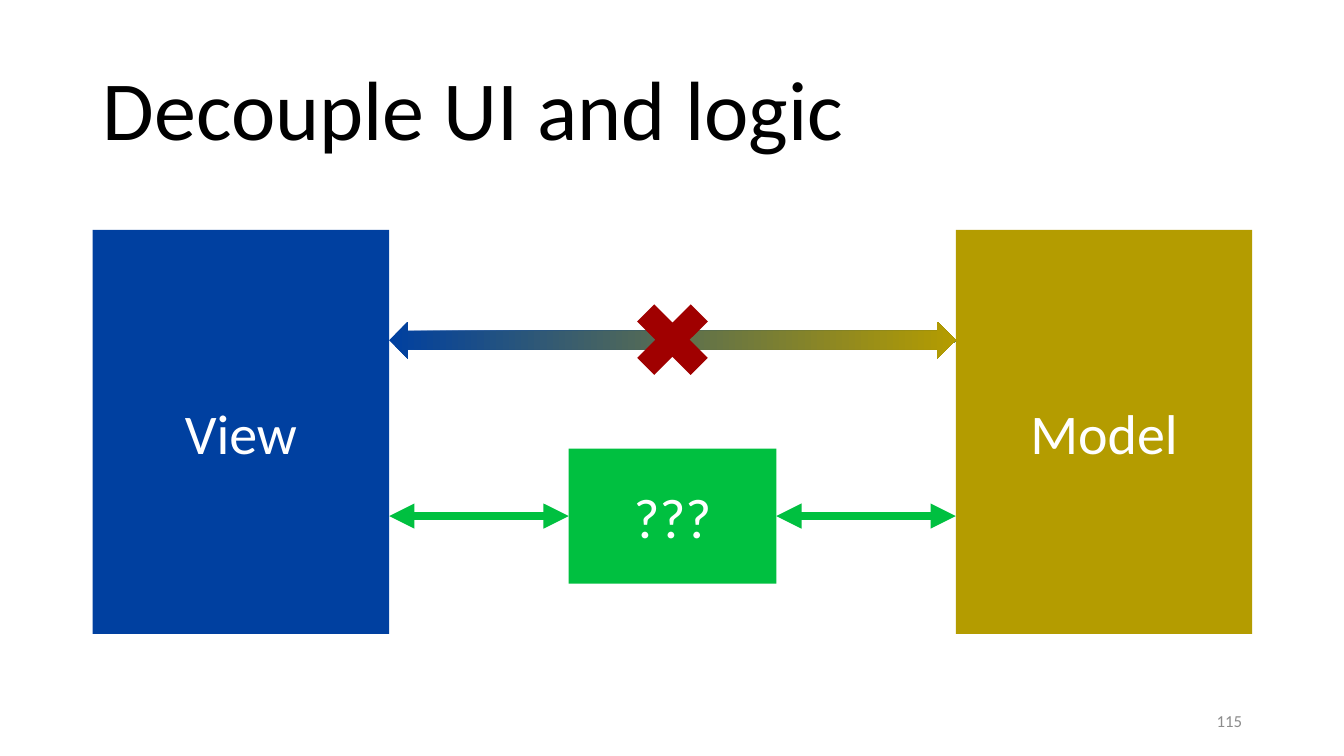
from lxml import etree
from pptx import Presentation
from pptx.dml.color import RGBColor
from pptx.enum.shapes import MSO_CONNECTOR, MSO_SHAPE
from pptx.enum.text import MSO_ANCHOR, MSO_AUTO_SIZE, PP_ALIGN
from pptx.oxml.ns import qn
from pptx.util import Inches, Pt

LEFT, CENTER, RIGHT = PP_ALIGN.LEFT, PP_ALIGN.CENTER, PP_ALIGN.RIGHT
MIDDLE = MSO_ANCHOR.MIDDLE
NO_AUTOFIT = MSO_AUTO_SIZE.NONE
RECTANGLE = MSO_SHAPE.RECTANGLE
DOUBLE_ARROW = MSO_SHAPE.LEFT_RIGHT_ARROW
CROSS = MSO_SHAPE.MATH_MULTIPLY
STRAIGHT = MSO_CONNECTOR.STRAIGHT

FONT = "Calibri"
BLUE, OLIVE, GREEN, RED = "0040A0", "B49C00", "00C040", "A00000"
BLACK, WHITE, GREY = "000000", "FFFFFF", "8C8C8C"

MARGIN, CONTENT_WIDTH = 0.92, 11.5
PANEL_TOP, PANEL_WIDTH, PANEL_HEIGHT = 2.28, 2.94, 4.01
VIEW_RIGHT = MARGIN + PANEL_WIDTH
MODEL_LEFT = MARGIN + CONTENT_WIDTH - PANEL_WIDTH
MIDLINE = MARGIN + CONTENT_WIDTH / 2


def color(hex_code):
    return RGBColor.from_string(hex_code)


def box(left, top, width, height):
    return Inches(left), Inches(top), Inches(width), Inches(height)


def write(holder, text, size, hex_code, align):
    frame = holder.text_frame
    frame.text = text
    frame.word_wrap = True
    frame.auto_size = NO_AUTOFIT
    frame.vertical_anchor = MIDDLE
    paragraph = frame.paragraphs[0]
    paragraph.alignment = align
    font = paragraph.runs[0].font
    font.name = FONT
    font.size = Pt(size)
    font.color.rgb = color(hex_code)


def add_title(slide, text):
    title = slide.shapes.title
    title.left, title.top, title.width, title.height = box(MARGIN, 0.4, CONTENT_WIDTH, 1.45)
    write(title, text, 60, BLACK, LEFT)
    title.text_frame.paragraphs[0].line_spacing = 0.9


def add_page_number(slide, number):
    page_number = slide.shapes.add_textbox(*box(9.42, 6.95, 3, 0.4))
    write(page_number, number, 12, GREY, RIGHT)


def add_figure(slide, kind, place, hex_code):
    figure = slide.shapes.add_shape(kind, *box(*place))
    figure.shadow.inherit = False
    figure.line.fill.background()
    figure.fill.solid()
    figure.fill.fore_color.rgb = color(hex_code)
    return figure


def add_component(slide, label, place, hex_code):
    component = add_figure(slide, RECTANGLE, place, hex_code)
    write(component, label, 40, WHITE, CENTER)
    return component


def add_link(slide, component, site, panel_edge, y):
    link = slide.shapes.add_connector(
        STRAIGHT, Inches(panel_edge), Inches(y), Inches(panel_edge), Inches(y))
    link.begin_connect(component, site)
    link.line.color.rgb = color(GREEN)
    link.line.width = Pt(6)
    line = link.line._get_or_add_ln()
    for end in ("a:headEnd", "a:tailEnd"):
        etree.SubElement(line, qn(end), type="triangle")
    etree.SubElement(link._element.spPr, qn("a:effectLst"))


def add_blocked_path(slide):
    direct_path = add_figure(
        slide, DOUBLE_ARROW, (VIEW_RIGHT, 3.19, MODEL_LEFT - VIEW_RIGHT, 0.37), BLUE)
    direct_path.fill.gradient()
    direct_path.fill.gradient_angle = 0
    for stop, hex_code in zip(direct_path.fill.gradient_stops, (BLUE, OLIVE)):
        stop.color.rgb = color(hex_code)
    cross_size = 1.02
    add_figure(slide, CROSS, (MIDLINE - cross_size / 2, 2.86, cross_size, cross_size), RED)


def add_mediator(slide):
    width, height, top = 2.06, 1.34, 4.45
    mediator = add_component(slide, "???", (MIDLINE - width / 2, top, width, height), GREEN)
    for site, panel_edge in ((3, MODEL_LEFT), (1, VIEW_RIGHT)):
        add_link(slide, mediator, site, panel_edge, top + height / 2)


def main():
    presentation = Presentation()
    presentation.slide_width = Inches(13.33)
    presentation.slide_height = Inches(7.5)
    slide = presentation.slides.add_slide(presentation.slide_layouts[5])
    add_title(slide, "Decouple UI and logic")
    add_page_number(slide, "115")
    for label, left, hex_code in (("View", MARGIN, BLUE), ("Model", MODEL_LEFT, OLIVE)):
        add_component(slide, label, (left, PANEL_TOP, PANEL_WIDTH, PANEL_HEIGHT), hex_code)
    add_mediator(slide)
    add_blocked_path(slide)
    presentation.save("out.pptx")


if __name__ == "__main__":
    main()
